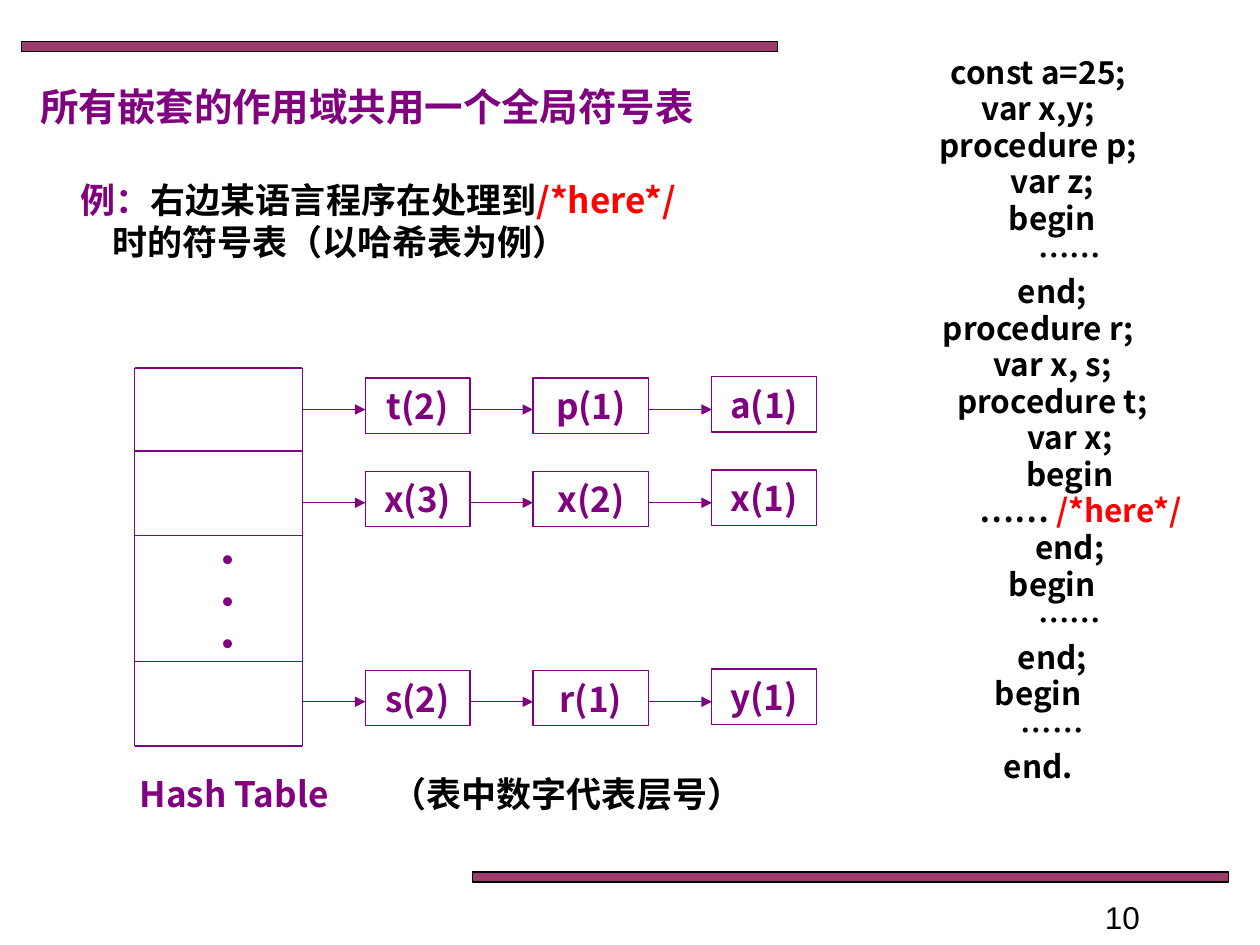
from dataclasses import dataclass

from lxml.etree import SubElement
from pptx import Presentation
from pptx.dml.color import RGBColor
from pptx.enum.shapes import MSO_CONNECTOR, MSO_SHAPE
from pptx.enum.text import MSO_ANCHOR, MSO_AUTO_SIZE, PP_ALIGN
from pptx.oxml.ns import qn
from pptx.util import Inches, Pt


@dataclass(frozen=True)
class Theme:
    """Colours, fonts and type sizes of the slide."""
    purple: str = "800080"
    black: str = "000000"
    red: str = "FF0000"
    bar: str = "993366"
    font: str = "Noto Sans CJK SC"
    number_font: str = "Arial"
    title: int = 22
    text: int = 20
    code: int = 18
    line: float = 0.75


THEME = Theme()
SPACE = 0.056
CODE = [
    (0, "const a=25;"), (0, "var x,y;"), (0, "procedure p;"), (4, "var z;"),
    (4, "begin"), (9, "……"), (4, "end;"), (0, "procedure r;"),
    (4, "var x, s;"), (4, "procedure t;"), (9, "var x;"), (9, "begin"),
    (12, [("…… ", THEME.black), ("/*here*/", THEME.red)]), (9, "end;"),
    (4, "begin"), (9, "……"), (4, "end;"), (0, "begin"), (4, "……"), (0, "end."),
]
CHAINS = [
    (0.08, ["t(2)", "p(1)", "a(1)"]),
    (0.82, ["x(3)", "x(2)", "x(1)"]),
    (2.4, ["s(2)", "r(1)", "y(1)"]),
]


def place(shape, left, top, width, height):
    """Move and size a shape."""
    shape.left, shape.top = Inches(left), Inches(top)
    shape.width, shape.height = Inches(width), Inches(height)


def write(shape, text, color=THEME.purple, size=THEME.text, font=THEME.font, bold=True,
          align=PP_ALIGN.LEFT, anchor=MSO_ANCHOR.MIDDLE, spacing=None, indents=(0,), tab=None):
    """Write paragraphs, each a string or a list of coloured runs, with one format."""
    frame = shape.text_frame
    frame.word_wrap = True
    frame.auto_size = MSO_AUTO_SIZE.NONE
    frame.vertical_anchor = anchor
    lines = [text] if isinstance(text, str) else text
    for index, (line, indent) in enumerate(zip(lines, indents)):
        paragraph = frame.add_paragraph() if index else frame.paragraphs[0]
        paragraph.alignment = align
        paragraph.space_before = Pt(0)
        if spacing:
            paragraph.line_spacing = Pt(spacing)
        properties = paragraph._p.get_or_add_pPr()
        properties.set("marL", str(Inches(indent)))
        properties.set("indent", "0")
        SubElement(properties, qn("a:buNone"))
        if tab:
            stops = SubElement(properties, qn("a:tabLst"))
            SubElement(stops, qn("a:tab"), pos=str(Inches(tab)), algn="l")
        for words, run_color in [(line, color)] if isinstance(line, str) else line:
            run = paragraph.add_run()
            run.text = words
            run.font.size, run.font.bold, run.font.name = Pt(size), bold, font
            run.font.color.rgb = RGBColor.from_string(run_color)
            SubElement(run._r.get_or_add_rPr(), qn("a:ea"), typeface=font)


def add_text(slide, box, text, **text_format):
    """Add a text box."""
    shape = slide.shapes.add_textbox(*map(Inches, box))
    write(shape, text, **text_format)


def add_box(slide, box, line, fill=None):
    """Add an outlined rectangle."""
    shape = slide.shapes.add_shape(MSO_SHAPE.RECTANGLE, *map(Inches, box))
    shape.shadow.inherit = False
    shape.line.color.rgb = RGBColor.from_string(line)
    shape.line.width = Pt(THEME.line)
    if fill:
        shape.fill.solid()
        shape.fill.fore_color.rgb = RGBColor.from_string(fill)
        color = shape._element.spPr.find(qn("a:solidFill"))[0]
        SubElement(color, qn("a:alpha"), val="96000")
    else:
        shape.fill.background()
    return shape


def add_line(slide, start, end, arrow=False):
    """Add a straight line, with an arrowhead if asked."""
    line = slide.shapes.add_connector(MSO_CONNECTOR.STRAIGHT, *map(Inches, start + end))
    line.line.color.rgb = RGBColor.from_string(THEME.purple)
    line.line.width = Pt(THEME.line)
    if arrow:
        SubElement(line.line._get_or_add_ln(), qn("a:tailEnd"), type="triangle")
    SubElement(line._element.spPr, qn("a:effectLst"))


def add_heading(slide, left, top):
    """Fill the title and the example below it."""
    title, example = slide.placeholders
    place(title, left, top, 5.95, 0.47)
    write(title, "所有嵌套的作用域共用一个全局符号表", size=THEME.title)
    place(example, left + 0.07, top + 0.76, 6.38, 0.77)
    write(example, [
        [("例：", THEME.purple), ("右边某语言程序在处理到", THEME.black), ("/*here*/", THEME.red)],
        "时的符号表（以哈希表为例）",
    ], color=THEME.black, anchor=MSO_ANCHOR.TOP, spacing=24, indents=(0.25, 0.5))


def add_code(slide, box):
    """Add the program listing."""
    add_text(slide, box, [line for _, line in CODE], color=THEME.black, size=THEME.code,
             align=PP_ALIGN.CENTER, anchor=MSO_ANCHOR.TOP, spacing=20.9,
             indents=[spaces * SPACE for spaces, _ in CODE])


def add_chain(slide, left, top, labels):
    """Add one row of linked entries."""
    gaps, widths, rises = (0.5, 0.5, 0.5), (0.83, 0.92, 0.83), (0, 0, 0.01)
    for label, gap, width, rise in zip(labels, gaps, widths, rises):
        add_line(slide, (left, top + 0.25), (left + gap, top + 0.25), arrow=True)
        left += gap
        entry = add_box(slide, (left, top - rise, width, 0.44), THEME.purple)
        write(entry, label, align=PP_ALIGN.CENTER)
        left += width


def add_hash_table(slide, left, top, width, height):
    """Add the bucket column, its chains and its caption."""
    right, bottom = left + width, top + height
    for x in (left, right):
        add_line(slide, (x, top), (x, bottom))
    for offset in (0, 0.66, 1.33, 2.33, height):
        add_line(slide, (left, top + offset), (right, top + offset))
    add_text(slide, (left + 0.5, top + 1.3, 0.25, 1.11), "•••",
             align=PP_ALIGN.CENTER, spacing=24)
    for offset, labels in CHAINS:
        add_chain(slide, right, top + offset, labels)
    add_text(slide, (left - 0.06, bottom + 0.16, 5.15, 0.44),
             [[("Hash Table\t", THEME.purple), ("（表中数字代表层号）", THEME.black)]], tab=1.89)


def main():
    """Build and save the slide."""
    presentation = Presentation()
    presentation.slide_width, presentation.slide_height = Inches(10), Inches(7.5)
    slide = presentation.slides.add_slide(presentation.slide_layouts[1])
    for left, top in ((0.17, 0.33), (3.75, 6.92)):
        add_box(slide, (left, top, 6, 0.08), THEME.black, fill=THEME.bar)
    add_heading(slide, 0.22, 0.61)
    add_code(slide, (6.82, 0.38, 2.84, 6.34))
    add_hash_table(slide, 1.07, 2.92, 1.33, 3)
    add_text(slide, (8.67, 7.08, 1.2, 0.42), "10", color=THEME.black, size=THEME.code,
             font=THEME.number_font, bold=False, anchor=MSO_ANCHOR.TOP)
    presentation.save("out.pptx")


main()
